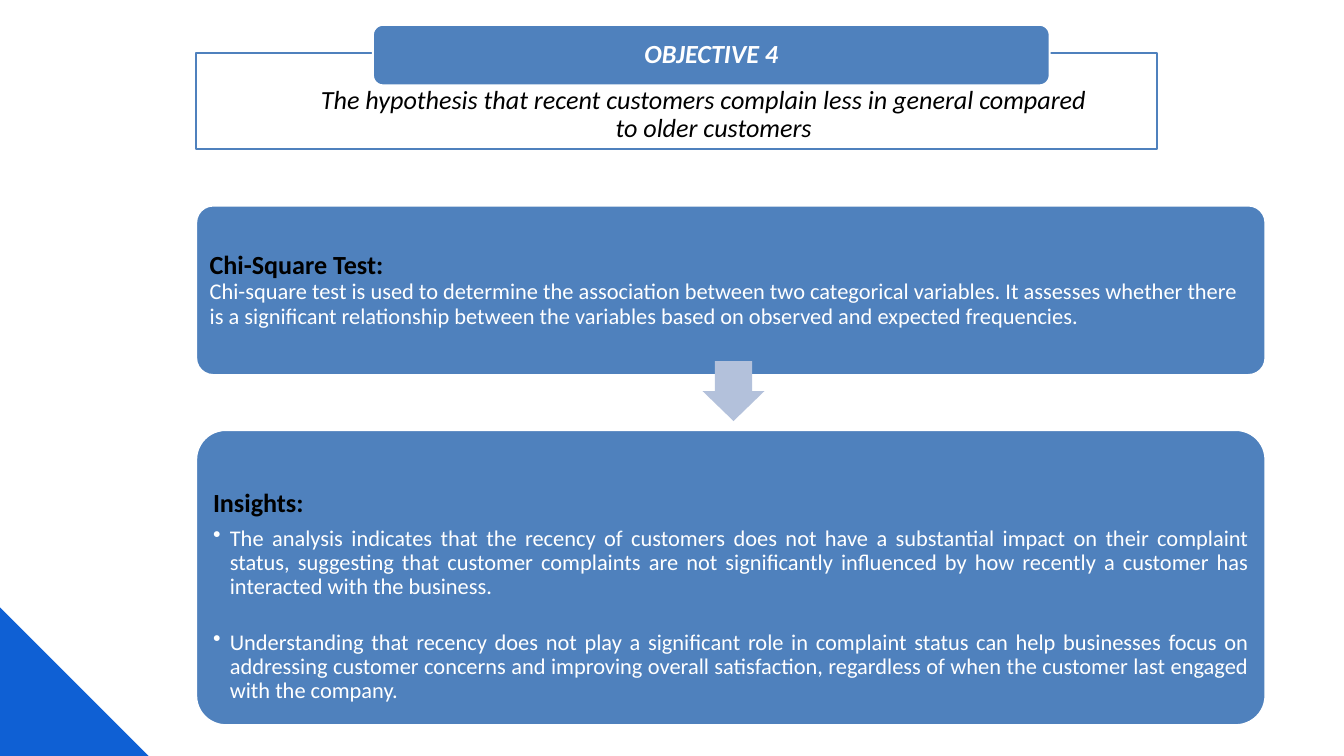
"""Build the Objective 4 slide on customer recency and complaints."""
from dataclasses import dataclass
from typing import Optional

from lxml.etree import SubElement as Sub
from pptx import Presentation
from pptx.dml.color import RGBColor as Rgb
from pptx.enum.shapes import MSO_SHAPE as Geo
from pptx.enum.text import MSO_ANCHOR as Anchor, PP_ALIGN as Align
from pptx.oxml.ns import qn
from pptx.util import Inches, Pt


@dataclass(frozen=True)
class Theme:
    blue: str = "4F81BD"
    pale: str = "B3C1DB"
    deep: str = "0F60D4"
    white: str = "FFFFFF"
    black: str = "000000"
    face: str = "Calibri"
    head: int = 28
    body: int = 24
    edge: int = 2


@dataclass(frozen=True)
class Block:
    at: tuple
    geo: Geo
    fill: str
    line: Optional[str] = None
    adj: tuple = ()
    turn: int = 0
    alpha: int = 100


@dataclass(frozen=True)
class Run:
    text: str
    size: int
    color: str
    bold: bool = False
    slant: bool = False


@dataclass(frozen=True)
class Para:
    runs: tuple
    after: float
    align: Align = Align.LEFT
    level: int = 0
    hang: float = 0
    mark: str = ""


@dataclass(frozen=True)
class Label:
    at: tuple
    paras: tuple
    pad: tuple = (0.12, 0.12, 0.12, 0.12)
    anchor: Anchor = Anchor.MIDDLE


T = Theme()


def paint(shape, fill: str, line: Optional[str] = None) -> None:
    """Set fill and outline, without shadow."""
    shape.shadow.inherit = False
    shape.fill.solid()
    shape.fill.fore_color.rgb = Rgb.from_string(fill)
    if line:
        shape.line.color.rgb = Rgb.from_string(line)
        shape.line.width = Pt(T.edge)
    else:
        shape.line.fill.background()


def draw_block(slide, block: Block) -> None:
    """Draw one preset shape."""
    shape = slide.shapes.add_shape(block.geo, *map(Inches, block.at))
    paint(shape, block.fill, block.line)
    shape.rotation = block.turn
    for i, val in enumerate(block.adj):
        shape.adjustments[i] = val
    if block.alpha < 100:
        tint = shape.fill._xPr.find(qn("a:solidFill"))[0]
        Sub(tint, qn("a:alpha"), val=str(block.alpha * 1000))


def write_para(para, item: Para) -> None:
    """Fill one paragraph with its runs and format."""
    form = {"alignment": item.align, "level": item.level,
            "line_spacing": 0.9, "space_after": Pt(item.after)}
    for key, val in form.items():
        setattr(para, key, val)
    if item.hang:
        props = para._p.get_or_add_pPr()
        props.set("marL", str(Inches(item.hang)))
        props.set("indent", str(-Inches(item.hang)))
        if item.mark:
            Sub(props, qn("a:buChar"), char=item.mark)
    for part in item.runs:
        run = para.add_run()
        run.text = part.text.rstrip("\n")
        form = {"name": T.face, "size": Pt(part.size),
                "bold": part.bold, "italic": part.slant}
        for key, val in form.items():
            setattr(run.font, key, val)
        run.font.color.rgb = Rgb.from_string(part.color)
        if part.text.endswith("\n"):
            para.add_line_break()


def draw_label(slide, label: Label) -> None:
    """Draw one text box."""
    frame = slide.shapes.add_textbox(*map(Inches, label.at)).text_frame
    frame.word_wrap = True
    frame.vertical_anchor = label.anchor
    for side, pad in zip(("left", "top", "right", "bottom"), label.pad):
        setattr(frame, f"margin_{side}", Inches(pad))
    for i, item in enumerate(label.paras):
        write_para(frame.add_paragraph() if i else frame.paragraphs[0], item)


def draw_corner(slide, side: float, base: float) -> None:
    """Draw the triangle in the lower left corner."""
    pen = slide.shapes.build_freeform(Inches(side), Inches(base))
    pen.add_line_segments([(0, Inches(base)), (0, Inches(base - side))])
    paint(pen.convert_to_shape(), T.deep)


def head(text: str) -> Run:
    """Give a black heading run."""
    return Run(text, T.head, T.black, bold=True)


def point(text: str, after: float) -> Para:
    """Give one bulleted insight."""
    return Para((Run(text, T.body, T.white),), after, Align.JUSTIFY, 1, 0.25, "•")


TEST = Label((3, 3.14, 15.76, 2.37), (Para((
    head("Chi-Square Test:\n"),
    Run("Chi-square test is used to determine the association between two "
        "categorical variables. It assesses whether there is a significant "
        "relationship between the variables based on observed and expected "
        "frequencies.", T.body, T.white)), 9.8),))
NOTES = Label((3.05, 6.53, 15.65, 4.13), (
    Para((head("Insights:"),), 9.8),
    point("The analysis indicates that the recency of customers does not have "
          "a substantial impact on their complaint status, suggesting that "
          "customer complaints are not significantly influenced by how "
          "recently a customer has interacted with the business.", 33.6),
    point("Understanding that recency does not play a significant role in "
          "complaint status can help businesses focus on addressing customer "
          "concerns and improving overall satisfaction, regardless of when "
          "the customer last engaged with the company.", 3.6)),
    pad=(0.12, 0.68, 0.12, 0.12))
CLAIM = Label((3.26, 0.79, 14.41, 1.87), (Para((
    Run("The hypothesis that recent customers complain less in general "
        "compared to older customers", T.head, T.black, slant=True),),
    4.2, Align.CENTER, 1, 0.31),), (1.36, 0.5, 1.36, 0.22), Anchor.TOP)
TITLE = Label((5.58, 0.42, 10.01, 0.81), (Para((
    Run("OBJECTIVE 4", T.head, T.white, True, True),), 9.8, Align.CENTER),),
    (0.46, 0, 0.46, 0))


def main() -> None:
    """Build and save the slide."""
    deck = Presentation()
    deck.slide_width, deck.slide_height = Inches(20), Inches(11.25)
    slide = deck.slides.add_slide(deck.slide_layouts[6])
    card = {"geo": Geo.ROUNDED_RECTANGLE, "fill": T.blue, "line": T.white}
    draw_block(slide, Block((2.92, 3.06, 15.91, 2.52), adj=(0.1,), **card))
    draw_label(slide, TEST)
    draw_block(slide, Block((10.47, 5.36, 0.89, 0.92), Geo.RIGHT_ARROW, T.pale,
                            adj=(0.6, 0.5), turn=90))
    draw_block(slide, Block((2.92, 6.4, 15.91, 4.39), adj=(0.1,), **card))
    draw_label(slide, NOTES)
    draw_corner(slide, 2.21, 11.25)
    draw_block(slide, Block((2.92, 0.79, 14.3, 1.43), Geo.RECTANGLE, T.white,
                            T.blue, alpha=90))
    draw_label(slide, CLAIM)
    draw_block(slide, Block((5.55, 0.37, 10.07, 0.9), **card))
    draw_label(slide, TITLE)
    deck.save("out.pptx")


if __name__ == "__main__":
    main()
